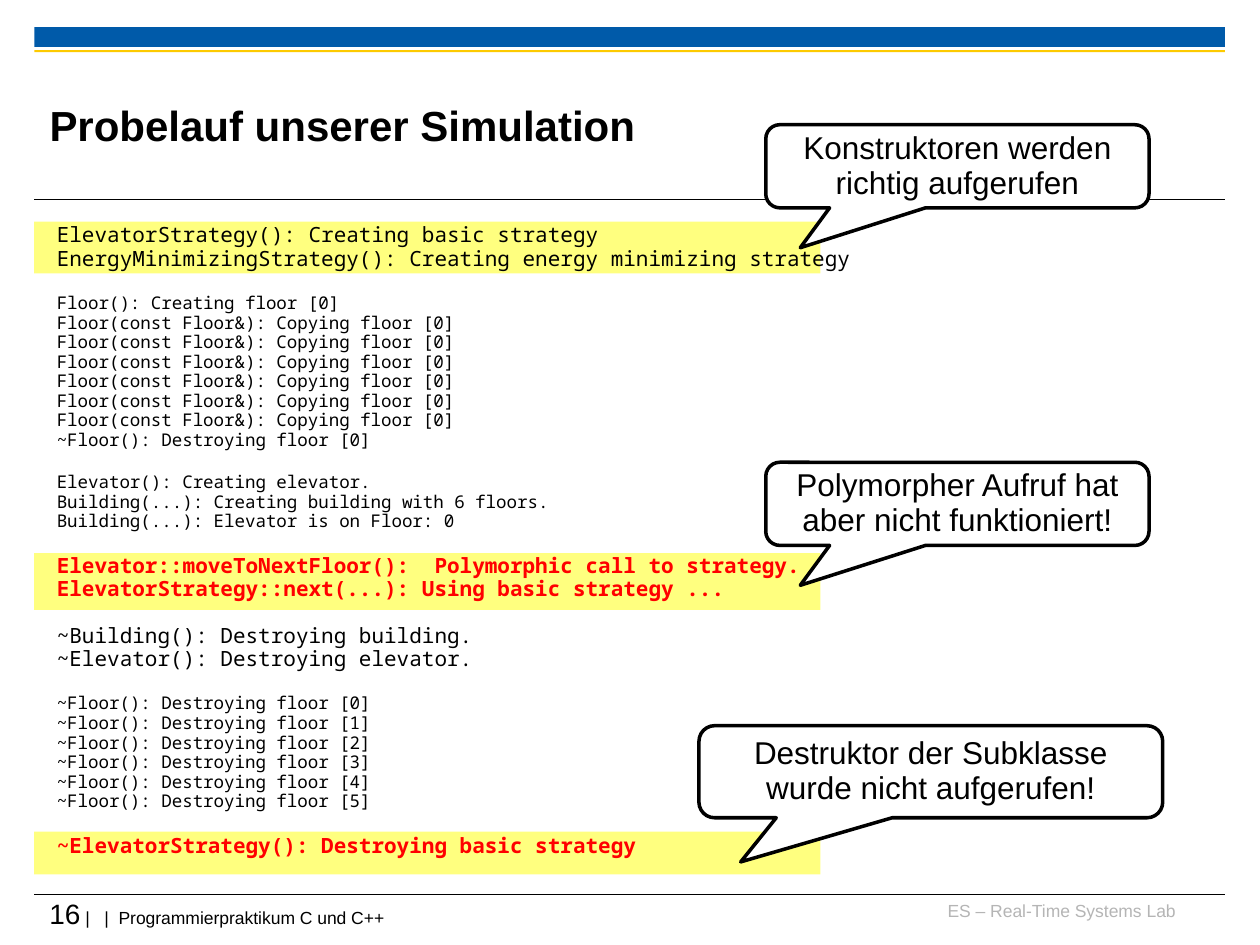
from lxml.etree import SubElement
from pptx import Presentation
from pptx.dml.color import RGBColor
from pptx.enum.shapes import MSO_CONNECTOR as Connector, MSO_SHAPE as Shape
from pptx.enum.text import MSO_ANCHOR as Anchor, MSO_AUTO_SIZE as AutoSize, PP_ALIGN as Align
from pptx.oxml.ns import qn
from pptx.util import Pt

BLACK = RGBColor(0x00, 0x00, 0x00)
WHITE = RGBColor(0xFF, 0xFF, 0xFF)
BLUE = RGBColor(0x00, 0x5A, 0xA9)
GOLD = RGBColor(0xFD, 0xCA, 0x00)
YELLOW = RGBColor(0xFF, 0xFF, 0x00)
RED = RGBColor(0xFF, 0x00, 0x00)
GRAY = RGBColor(0xB5, 0xB5, 0xB5)
SANS, MONO = "Arial", "Noto Sans Mono"
LINE_SPACING = 0.93
LOG_GAP = 13.1

LOG_BLOCKS = [
    (12, False, ["ElevatorStrategy(): Creating basic strategy",
                 "EnergyMinimizingStrategy(): Creating energy minimizing strategy"]),
    (10, False, ["Floor(): Creating floor [0]"]
     + ["Floor(const Floor&): Copying floor [0]"] * 6
     + ["~Floor(): Destroying floor [0]"]),
    (10, False, ["Elevator(): Creating elevator.",
                 "Building(...): Creating building with 6 floors.",
                 "Building(...): Elevator is on Floor: 0"]),
    (12, True, ["Elevator::moveToNextFloor():  Polymorphic call to strategy.",
                "ElevatorStrategy::next(...): Using basic strategy ..."]),
    (12, False, ["~Building(): Destroying building.",
                 "~Elevator(): Destroying elevator."]),
    (10, False, [f"~Floor(): Destroying floor [{floor}]" for floor in range(6)]),
    (12, True, ["~ElevatorStrategy(): Destroying basic strategy"]),
]
HIGHLIGHTS = [(2.1, 29.5), (191.5, 32.4), (350.6, 24.5)]
CALLOUTS = [
    ((437.6, 71.3, 219, 47.5), "Konstruktoren werden richtig aufgerufen"),
    ((437.6, 264.2, 219, 47.5), "Polymorpher Aufruf hat aber nicht funktioniert!"),
    ((399.4, 414.7, 265, 52.6), "Destruktor der Subklasse wurde nicht aufgerufen!"),
]


def style(run, size, color, font=SANS, bold=False):
    """Format one run of text."""
    run.font.name, run.font.size, run.font.bold = font, Pt(size), bold
    run.font.color.rgb = color


def set_frame(frame, side=0, top=0, anchor=Anchor.TOP):
    """Set wrapping, margins and anchor of a text frame."""
    frame.word_wrap = True
    frame.auto_size = AutoSize.NONE
    frame.margin_left = frame.margin_right = Pt(side)
    frame.margin_top = frame.margin_bottom = Pt(top)
    frame.vertical_anchor = anchor


def add_bar(slide, box, color, alpha=None):
    """Add a borderless filled bar, see-through if alpha is given."""
    bar = slide.shapes.add_shape(Shape.RECTANGLE, *map(Pt, box))
    bar.shadow.inherit = False
    bar.fill.solid()
    bar.fill.fore_color.rgb = color
    bar.line.fill.background()
    if alpha is not None:
        tint = bar.fill._xPr.find(f".//{qn('a:srgbClr')}")
        SubElement(tint, qn("a:alpha"), val=str(alpha * 1000))


def add_rule(slide, left, top, width):
    """Add a thin horizontal rule."""
    rule = slide.shapes.add_connector(
        Connector.STRAIGHT, Pt(left), Pt(top), Pt(left + width), Pt(top))
    rule.line.color.rgb = BLACK
    rule.line.width = Pt(0.6)
    SubElement(rule._element.spPr, qn("a:effectLst"))


def add_header(slide, box, title):
    """Place the colour bands, the title and the rule below it."""
    left, top, width, height = box
    add_bar(slide, (left, top, width, 11.4), BLUE)
    add_bar(slide, (left, top + 13.2, width, 1.1), GOLD)
    add_rule(slide, left, top + height, width)
    heading = slide.shapes.title
    heading.left, heading.top = Pt(left + 8.7), Pt(top + 22.5)
    heading.width, heading.height = Pt(541.4), Pt(66.2)
    frame = heading.text_frame
    set_frame(frame, anchor=Anchor.MIDDLE)
    frame.text = title
    frame.paragraphs[0].alignment = Align.LEFT
    style(frame.paragraphs[0].runs[0], 24, BLACK, bold=True)


def add_log(slide, box):
    """Place the program output over its highlight bars."""
    left, top, width, height = box
    for offset, bar_height in HIGHLIGHTS:
        add_bar(slide, (left - 5.8, top + offset, 449.3, bar_height), YELLOW, 50)
    frame = slide.shapes.add_textbox(*map(Pt, box)).text_frame
    set_frame(frame, 7.2, 3.6)
    frame.text = "\n".join(line for _, _, lines in LOG_BLOCKS for line in lines)
    paragraphs = iter(frame.paragraphs)
    for block, (size, alert, lines) in enumerate(LOG_BLOCKS):
        for row in range(len(lines)):
            paragraph = next(paragraphs)
            paragraph.line_spacing = LINE_SPACING
            paragraph.space_before = Pt(LOG_GAP if block and row == 0 else 0)
            style(paragraph.runs[0], size, RED if alert else BLACK, MONO, alert)


def add_callout(slide, box, remark):
    """Place a rounded speech bubble with a centred remark."""
    bubble = slide.shapes.add_shape(Shape.ROUNDED_RECTANGULAR_CALLOUT, *map(Pt, box))
    for index, value in enumerate((-0.41, 0.98, 0.17)):
        bubble.adjustments[index] = value
    bubble.shadow.inherit = False
    bubble.fill.solid()
    bubble.fill.fore_color.rgb = WHITE
    bubble.line.color.rgb = BLACK
    bubble.line.width = Pt(2)
    frame = bubble.text_frame
    set_frame(frame, 7.2, 3.6, Anchor.MIDDLE)
    frame.text = remark
    paragraph = frame.paragraphs[0]
    paragraph.alignment = Align.CENTER
    paragraph.line_spacing = LINE_SPACING
    style(paragraph.runs[0], 18, BLACK)


def add_footer(slide, box, number, course, lab):
    """Place the bottom rule, the page number with course, and the lab name."""
    left, top, width, height = box
    add_rule(slide, left, top, width)
    lab_box = (left + 510.4, top + 3, 141.8, 18)
    lab_frame = slide.shapes.add_textbox(*map(Pt, lab_box)).text_frame
    set_frame(lab_frame)
    lab_frame.text = lab
    lab_frame.paragraphs[0].alignment = Align.RIGHT
    lab_frame.paragraphs[0].space_before = Pt(6.2)
    style(lab_frame.paragraphs[0].runs[0], 10, GRAY)
    page_box = (left + 8.7, top + 1.4, width - 8.7, height - 1.4)
    page_frame = slide.shapes.add_textbox(*map(Pt, page_box)).text_frame
    set_frame(page_frame)
    for words, size in ((number, 16), (f" |   |  {course}", 10)):
        run = page_frame.paragraphs[0].add_run()
        run.text = words
        style(run, size, BLACK)


def main():
    """Build and save the slide."""
    deck = Presentation()
    deck.slide_width, deck.slide_height = Pt(720), Pt(540)
    slide = deck.slides.add_slide(deck.slide_layouts[5])
    add_header(slide, (19.6, 15.5, 680.4, 98.7), "Probelauf unserer Simulation")
    add_footer(slide, (19.6, 511, 680.4, 25.4), "16",
               "Programmierpraktikum C und C++", "ES – Real-Time Systems Lab")
    add_log(slide, (25.4, 124.6, 521.3, 371.5))
    for box, remark in CALLOUTS:
        add_callout(slide, box, remark)
    deck.save("out.pptx")


if __name__ == "__main__":
    main()
